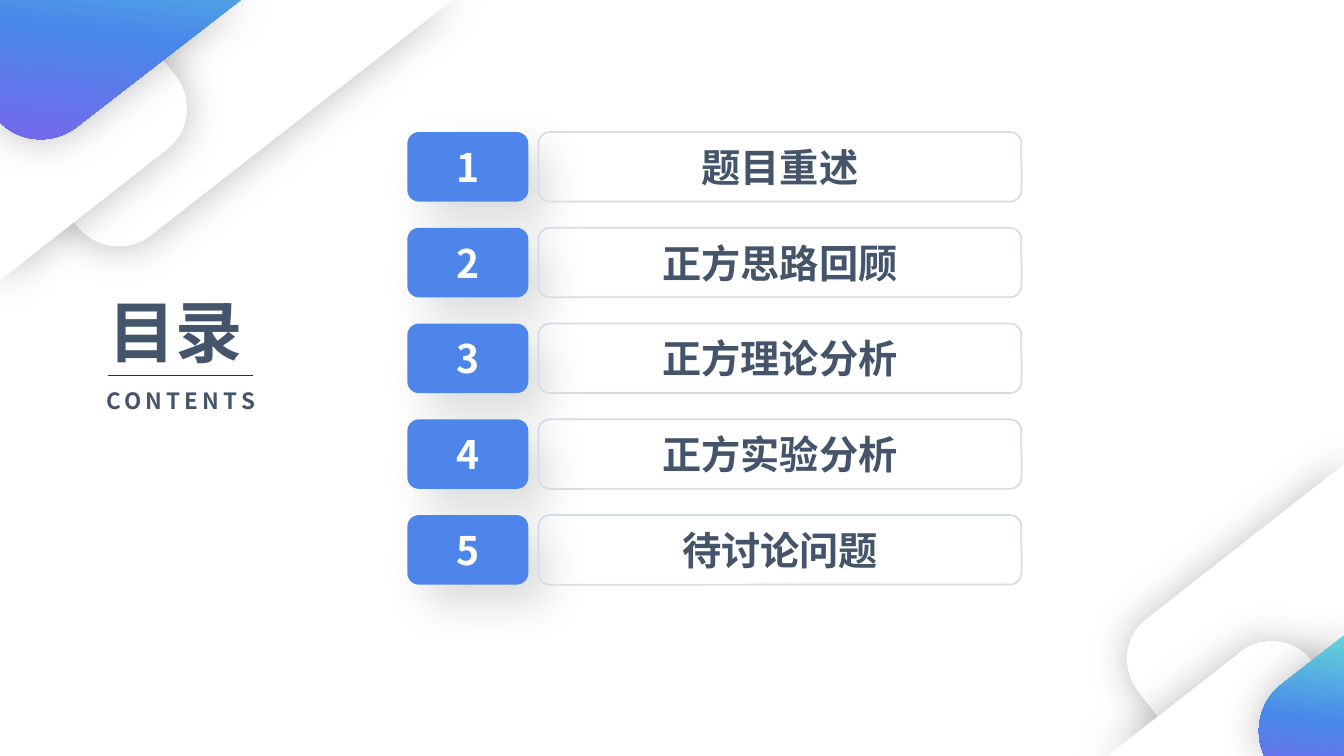
from math import cos, radians, sin

from pptx import Presentation
from pptx.dml.color import RGBColor
from pptx.enum.shapes import MSO_CONNECTOR, MSO_SHAPE
from pptx.enum.text import MSO_ANCHOR, MSO_AUTO_SIZE, PP_ALIGN
from pptx.oxml.ns import qn
from pptx.oxml.xmlchemy import OxmlElement
from pptx.util import Inches, Pt

ROUNDED = MSO_SHAPE.ROUNDED_RECTANGLE
STRAIGHT = MSO_CONNECTOR.STRAIGHT
MIDDLE = MSO_ANCHOR.MIDDLE
CENTER = PP_ALIGN.CENTER
NO_AUTOSIZE = MSO_AUTO_SIZE.NONE

FONT = "Noto Sans CJK SC"
COLORS = {
    "white": "FFFFFF", "black": "000000", "ink": "44546A", "rule": "27304F",
    "badge": "4D85EB", "border": "D6DCE5", "teal": "66DDD5", "blue": "4988EB",
    "violet": "8160EB",
}
TOPICS = ["题目重述", "正方思路回顾", "正方理论分析", "正方实验分析", "待讨论问题"]
BAND_SHADOW = {"opacity": 25, "blur": 29, "distance": 0, "angle": 0}
BADGE_SHADOW = {"opacity": 14, "blur": 32, "distance": 19, "angle": 45}
BAND_STOPS = [(0, "teal"), (53, "blue"), (100, "violet")]
GRADIENT_ANGLE = 225

# Each band: tilt, gradient or plain, and outline (pairs are corners, sextuples curves).
TOP_LEFT_BANDS = [
    (322, False, [(0, -0.01), (4.5, -0.01), (1.49, 2.34),
                  (1.27, 2.51, 0.95, 2.47, 0.77, 2.25), (0, 1.26)]),
    (322, False, [(0, -0.01), (1.14, -0.01), (1.75, 0.76),
                  (1.92, 0.99, 1.88, 1.31, 1.66, 1.48), (0, 2.78)]),
    (322.2, True, [(0, -0.01), (2.4, -0.01), (0.76, 1.26),
                   (0.54, 1.43, 0.23, 1.42, 0.03, 1.24), (0, 1.21)]),
]
BOTTOM_RIGHT_BANDS = [
    (322, False, [(2.38, 0), (2.38, 2.92), (0.82, 2.92), (0.32, 2.27),
                  (0.14, 2.04, 0.18, 1.72, 0.4, 1.55)]),
    (322, False, [(1.61, 1.77), (1.77, 1.76, 1.94, 1.83, 2.05, 1.97),
                  (2.38, 2.38), (2.38, 2.92), (0, 2.92), (1.33, 1.88),
                  (1.41, 1.81, 1.51, 1.78, 1.61, 1.77)]),
    (322.2, True, [(2.38, 1.7), (2.38, 2.92), (1.58, 2.92), (1.57, 2.91),
                   (1.46, 2.67, 1.52, 2.37, 1.74, 2.2)]),
]


def rgb(name):
    """Return the named palette colour."""
    return RGBColor.from_string(COLORS[name])


def add_child(parent, tag, **attributes):
    """Append an XML element with the given attributes."""
    child = OxmlElement(tag)
    for key, value in attributes.items():
        child.set(key, str(value))
    parent.append(child)
    return child


def cast_shadow(shape, opacity, blur, distance, angle):
    """Give a shape a soft black outer shadow."""
    shape.shadow.inherit = False
    effects = shape._element.spPr.find(qn("a:effectLst"))
    outer = add_child(effects, "a:outerShdw", blurRad=Pt(blur), dist=Pt(distance),
                      dir=angle * 60000, algn="ctr", rotWithShape=0)
    color = add_child(outer, "a:srgbClr", val=COLORS["black"])
    add_child(color, "a:alpha", val=opacity * 1000)


def write_text(shape, text, size, color, spacing=0):
    """Write one bold centred line into a shape."""
    frame = shape.text_frame
    for key, value in {"word_wrap": True, "auto_size": NO_AUTOSIZE,
                       "vertical_anchor": MIDDLE}.items():
        setattr(frame, key, value)
    paragraph = frame.paragraphs[0]
    paragraph.alignment = CENTER
    run = paragraph.add_run()
    run.text = text
    for key, value in {"name": FONT, "size": Pt(size), "bold": True}.items():
        setattr(run.font, key, value)
    run.font.color.rgb = rgb(color)
    properties = run._r.get_or_add_rPr()
    add_child(properties, "a:ea", typeface=FONT)
    if spacing:
        properties.set("spc", str(int(spacing * 100)))


def turn(x, y, degrees):
    """Rotate a point clockwise about the slide's top left."""
    c, s = cos(radians(degrees)), sin(radians(degrees))
    return x * c - y * s, x * s + y * c


def add_outline(slide, left, top, tilt, outline):
    """Build a tilted outline with true cubic curves."""
    points = [turn(Inches(left + part[i]), Inches(top + part[i + 1]), -tilt)
              for part in outline for i in range(0, len(part), 2)]
    builder = slide.shapes.build_freeform(*points[0])
    builder.add_line_segments(points[1:], close=True)
    shape = builder.convert_to_shape()
    segments = list(shape._element.spPr.iter(qn("a:lnTo")))
    for part in outline[1:]:
        parts, segments = segments[:len(part) // 2], segments[len(part) // 2:]
        if len(parts) == 3:
            curve = OxmlElement("a:cubicBezTo")
            parts[0].addprevious(curve)
            for segment in parts:
                curve.append(segment[0])
                segment.getparent().remove(segment)
    x, y = turn(shape.left + shape.width / 2, shape.top + shape.height / 2, tilt)
    shape.left, shape.top = int(x - shape.width / 2), int(y - shape.height / 2)
    shape.rotation = tilt
    return shape


def add_corner(slide, left, top, bands):
    """Stack the slanted bands of one slide corner."""
    for tilt, colorful, outline in bands:
        band = add_outline(slide, left, top, tilt, outline)
        band.line.fill.background()
        if colorful:
            band.fill.gradient()
            band.fill.gradient_angle = GRADIENT_ANGLE
            stop_list = band._element.spPr.find(qn("a:gradFill")).find(qn("a:gsLst"))
            for default_stop in list(stop_list):
                stop_list.remove(default_stop)
            for position, color in BAND_STOPS:
                stop = add_child(stop_list, "a:gs", pos=position * 1000)
                add_child(stop, "a:srgbClr", val=COLORS[color])
        else:
            band.fill.solid()
            band.fill.fore_color.rgb = rgb("white")
        cast_shadow(band, **BAND_SHADOW)


def add_heading(slide, left, top, width):
    """Place the title, its rule and the English label."""
    title = slide.shapes.title
    for key, value in {"left": left, "top": top, "width": width,
                       "height": 0.91}.items():
        setattr(title, key, Inches(value))
    write_text(title, "目录", 48, "ink")

    rule_y = Inches(top + 0.89)
    rule = slide.shapes.add_connector(STRAIGHT, Inches(left + 0.6), rule_y,
                                      Inches(left + 2.04), rule_y)
    rule.line.color.rgb = rgb("rule")
    rule.line.width = Pt(0.5)
    add_child(rule._element.spPr, "a:effectLst")

    label = slide.shapes.add_textbox(Inches(left + 0.43), Inches(top + 0.96),
                                     Inches(1.79), Inches(0.37))
    write_text(label, "CONTENTS", 16, "ink", spacing=3)


def add_topic(slide, left, top, width, height, number, topic):
    """Place one numbered badge and its outlined topic."""
    badge_width, gap = 1.2, 0.1
    badge = slide.shapes.add_shape(ROUNDED, Inches(left), Inches(top),
                                   Inches(badge_width), Inches(height))
    badge.fill.solid()
    badge.fill.fore_color.rgb = rgb("badge")
    badge.line.fill.background()
    cast_shadow(badge, **BADGE_SHADOW)
    write_text(badge, str(number), 28, "white", spacing=2.2)

    offset = badge_width + gap
    card = slide.shapes.add_shape(ROUNDED, Inches(left + offset), Inches(top),
                                  Inches(width - offset), Inches(height))
    card.fill.background()
    card.line.color.rgb = rgb("border")
    card.line.width = Pt(1.25)
    card.shadow.inherit = False
    for key, value in {"margin_left": 0.06, "margin_right": 0.06,
                       "margin_top": 0.03, "margin_bottom": 0.03}.items():
        setattr(card.text_frame, key, Inches(value))
    write_text(card, topic, 28, "ink")


def add_topics(slide, left, top, width, pitch):
    """List all topics at an even pitch."""
    for index, topic in enumerate(TOPICS):
        add_topic(slide, left, top + index * pitch, width, 0.69, index + 1, topic)


def main():
    """Build the contents slide and save it."""
    deck = Presentation()
    deck.slide_width, deck.slide_height = Inches(13.33), Inches(7.5)
    slide = deck.slides.add_slide(deck.slide_layouts[5])
    add_corner(slide, 0, 0, TOP_LEFT_BANDS)
    add_corner(slide, 10.97, 4.59, BOTTOM_RIGHT_BANDS)
    add_heading(slide, 0.47, 2.83, 2.55)
    add_topics(slide, 4.04, 1.31, 6.09, 0.95)
    deck.save("out.pptx")


if __name__ == "__main__":
    main()
